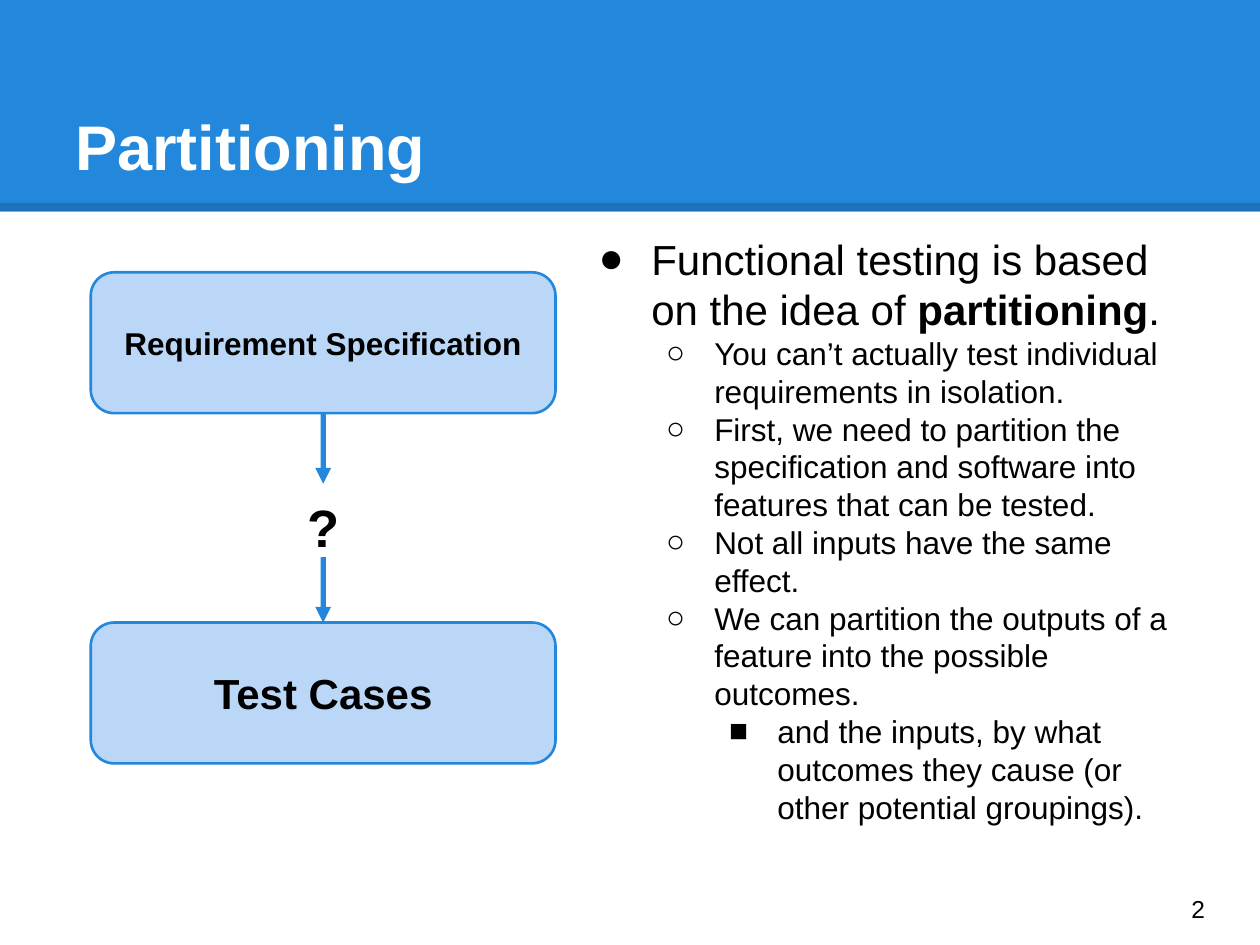
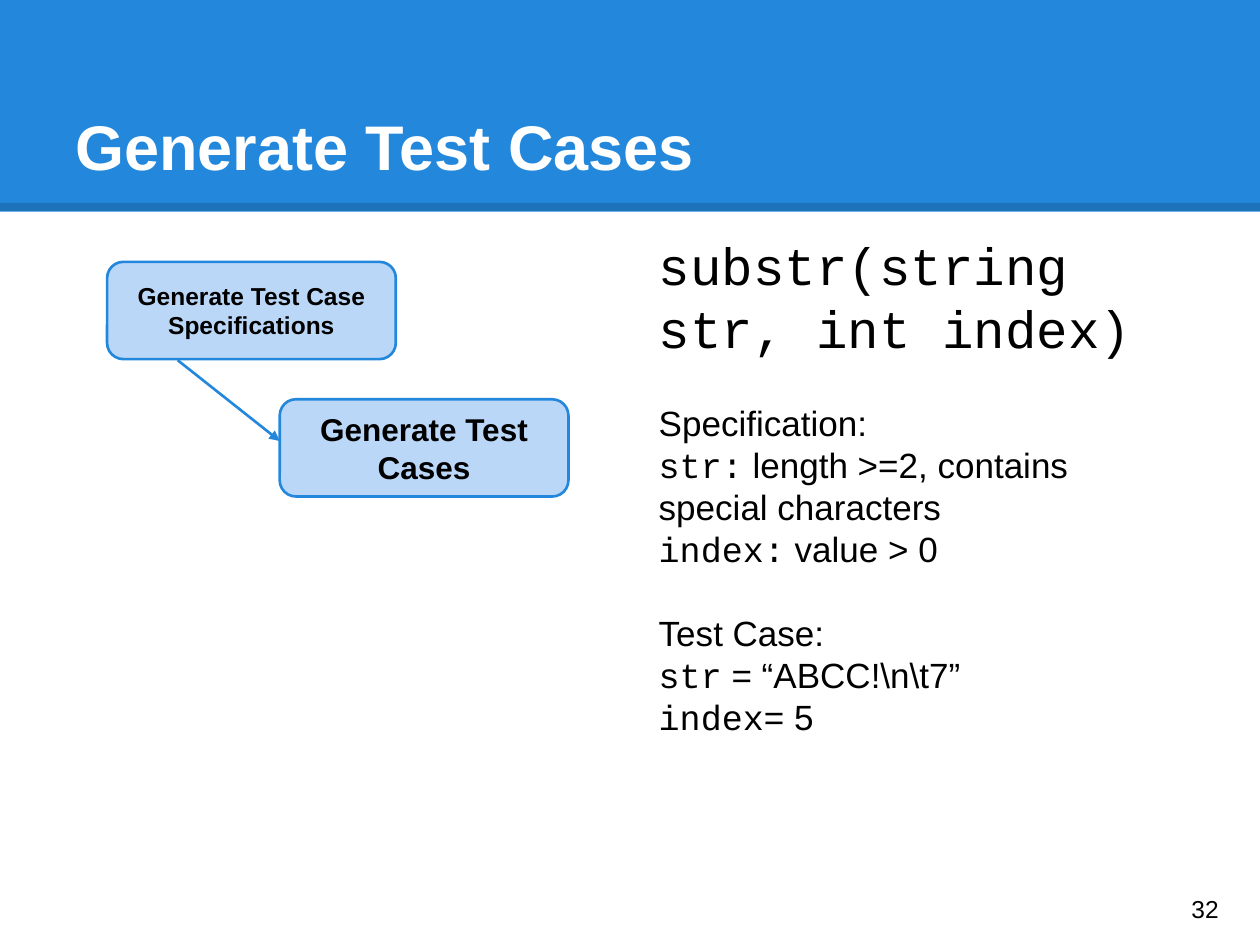
from dataclasses import dataclass

from lxml.etree import SubElement
from pptx import Presentation
from pptx.dml.color import RGBColor
from pptx.enum.shapes import MSO_CONNECTOR, MSO_SHAPE
from pptx.enum.text import MSO_ANCHOR, PP_ALIGN
from pptx.oxml.ns import qn
from pptx.util import Cm, Pt


@dataclass(frozen=True)
class Theme:
    blue: RGBColor = RGBColor(0x23, 0x88, 0xDB)
    pale: RGBColor = RGBColor(0xBB, 0xD7, 0xF8)
    black: RGBColor = RGBColor(0, 0, 0)
    white: RGBColor = RGBColor(255, 255, 255)
    sans: str = "Arial"
    mono: str = "Courier New"
    title: int = 36
    large: int = 30
    lead: int = 24
    code: int = 20
    body: int = 18
    small: int = 14


THEME = Theme()
WIDTH, HEIGHT = 25.4, 19.05
INSET = Cm(0.25)
BODY_TOP, BODY_HEIGHT, BODY_RIGHT = 4.45, 13.79, 24.13
# Bullet, left margin, hanging indent and type size for each outline level
LEVELS = [
    ("●", 1.27, -1.06, THEME.lead),
    ("○", 2.54, -0.97, THEME.body),
    ("■", 3.81, -0.97, THEME.body),
]


def style(span, size, color=THEME.black, bold=False, font=THEME.sans):
    span.font.name = font
    span.font.size = Pt(size)
    span.font.bold = bold
    span.font.color.rgb = color


def prepare_frame(shape, anchor):
    frame = shape.text_frame
    frame.word_wrap = True
    frame.vertical_anchor = anchor
    frame.margin_left = frame.margin_right = INSET
    frame.margin_top = frame.margin_bottom = INSET
    return frame


def add_textbox(page, left, top, width, height, anchor=MSO_ANCHOR.TOP):
    box = page.shapes.add_textbox(Cm(left), Cm(top), Cm(width), Cm(height))
    return prepare_frame(box, anchor)


def add_body(page, left):
    return add_textbox(page, left, BODY_TOP, BODY_RIGHT - left, BODY_HEIGHT)


def write_line(frame, text, size, color=THEME.black, bold=False, align=PP_ALIGN.LEFT):
    frame.text = text
    para = frame.paragraphs[0]
    para.alignment = align
    style(para.runs[0], size, color, bold)


def next_paragraph(frame):
    """Return the empty first paragraph, or a new one once it is used."""
    first = frame.paragraphs[0]
    return frame.add_paragraph() if first.runs else first


def add_line(page, start, end, color, width):
    line = page.shapes.add_connector(
        MSO_CONNECTOR.STRAIGHT, *(Cm(value) for value in (*start, *end)))
    line.line.color.rgb = color
    line.line.width = Pt(width)
    SubElement(line._element.spPr, qn("a:effectLst"))
    return line


def add_arrow(page, start, end, width):
    arrow = add_line(page, start, end, THEME.blue, width)
    SubElement(arrow.line._get_or_add_ln(), qn("a:tailEnd"), type="triangle")
    return arrow


def add_step(page, left, top, width, height, label, size):
    step = page.shapes.add_shape(
        MSO_SHAPE.ROUNDED_RECTANGLE, Cm(left), Cm(top), Cm(width), Cm(height))
    step.shadow.inherit = False
    step.fill.solid()
    step.fill.fore_color.rgb = THEME.pale
    step.line.color.rgb = THEME.blue
    step.line.width = Pt(1.5)
    frame = prepare_frame(step, MSO_ANCHOR.MIDDLE)
    write_line(frame, label, size, bold=True, align=PP_ALIGN.CENTER)
    return step


def add_bullet(frame, level, *parts):
    """Add an outline paragraph whose every second part is bold."""
    symbol, margin, indent, size = LEVELS[level]
    para = next_paragraph(frame)
    para.level = level
    properties = para._p.get_or_add_pPr()
    properties.set("marL", str(Cm(margin)))
    properties.set("indent", str(Cm(indent)))
    color = SubElement(properties, qn("a:buClr"))
    SubElement(color, qn("a:srgbClr"), val=str(THEME.black))
    SubElement(properties, qn("a:buFont"), typeface=THEME.sans)
    SubElement(properties, qn("a:buChar"), char=symbol)
    for index, text in enumerate(parts):
        span = para.add_run()
        span.text = text
        style(span, size, bold=index % 2 == 1)


def add_code_line(frame, code, prose="", size=THEME.code, gap=0):
    """Add a paragraph of monospaced code followed by plain prose."""
    para = next_paragraph(frame)
    if gap:
        para.space_before = Pt(gap)
    for text, font in ((code, THEME.mono), (prose, THEME.sans)):
        if text:
            span = para.add_run()
            span.text = text
            style(span, size, font=font)


def add_page(deck, title, number):
    """Add a slide with the title band and the slide number."""
    page = deck.slides.add_slide(deck.slide_layouts[6])
    band = page.shapes.add_shape(MSO_SHAPE.RECTANGLE, 0, 0, Cm(WIDTH), Cm(4.27))
    band.shadow.inherit = False
    band.fill.solid()
    band.fill.fore_color.rgb = THEME.blue
    band.line.fill.background()
    edge = add_line(page, (0, 4.17), (WIDTH, 4.17), THEME.black, 4.5)
    color = edge.line._get_or_add_ln().find(".//" + qn("a:srgbClr"))
    SubElement(color, qn("a:alpha"), val="15000")
    heading = add_textbox(page, 1.27, 0.76, 22.86, 3.18, MSO_ANCHOR.BOTTOM)
    write_line(heading, title, THEME.title, THEME.white, bold=True)
    footer = add_textbox(page, 23.77, 17.6, 1.52, 1.45, MSO_ANCHOR.MIDDLE)
    write_line(footer, str(number), THEME.small)
    return page


def build_partitioning(deck):
    page = add_page(deck, "Partitioning", 2)
    left, width, height = 1.83, 9.37, 2.84
    center = left + width / 2
    source_top, cases_top = 5.49, 12.55
    source = add_step(page, left, source_top, width, height,
                      "Requirement Specification", THEME.body)
    cases = add_step(page, left, cases_top, width, height, "Test Cases", THEME.lead)
    leaving = add_arrow(page, (center, source_top + height), (center, 9.75), 3)
    leaving.begin_connect(source, 2)
    arriving = add_arrow(page, (center, 11.23), (center, cases_top), 3)
    arriving.end_connect(cases, 0)
    question = add_textbox(page, 5.69, 9.73, 1.65, 1.42)
    write_line(question, "?", THEME.large, bold=True, align=PP_ALIGN.CENTER)

    body = add_body(page, 11.61)
    add_bullet(body, 0, "Functional testing is based on the idea of ", "partitioning", ".")
    for point in (
        "You can’t actually test individual requirements in isolation.",
        "First, we need to partition the specification and software into "
        "features that can be tested.",
        "Not all inputs have the same effect.",
        "We can partition the outputs of a feature into the possible outcomes.",
    ):
        add_bullet(body, 1, point)
    add_bullet(body, 2, "and the inputs, by what outcomes they cause "
                        "(or other potential groupings).")


def build_test_cases(deck):
    page = add_page(deck, "Generate Test Cases", 32)
    width, height = 5.82, 1.96
    add_step(page, 2.16, 5.28, width, height,
             "Generate Test Case Specifications", THEME.small)
    add_step(page, 5.64, 8.05, width, height, "Generate Test Cases", THEME.body)
    add_arrow(page, (3.58, 7.26), (5.64, 8.89), 1.5)

    body = add_body(page, 13.03)
    add_code_line(body, "substr(string str, int index)", size=THEME.large)
    add_code_line(body, "", "Specification:", gap=24)
    add_code_line(body, "str:", " length >=2, contains special characters")
    add_code_line(body, "index:", " value > 0")
    add_code_line(body, "", "Test Case:", gap=24)
    add_code_line(body, "str", " = “ABCC!\\n\\t7”")
    add_code_line(body, "index", "= 5")


def main():
    deck = Presentation()
    deck.slide_width, deck.slide_height = Cm(WIDTH), Cm(HEIGHT)
    build_partitioning(deck)
    build_test_cases(deck)
    deck.save("out.pptx")


if __name__ == "__main__":
    main()
